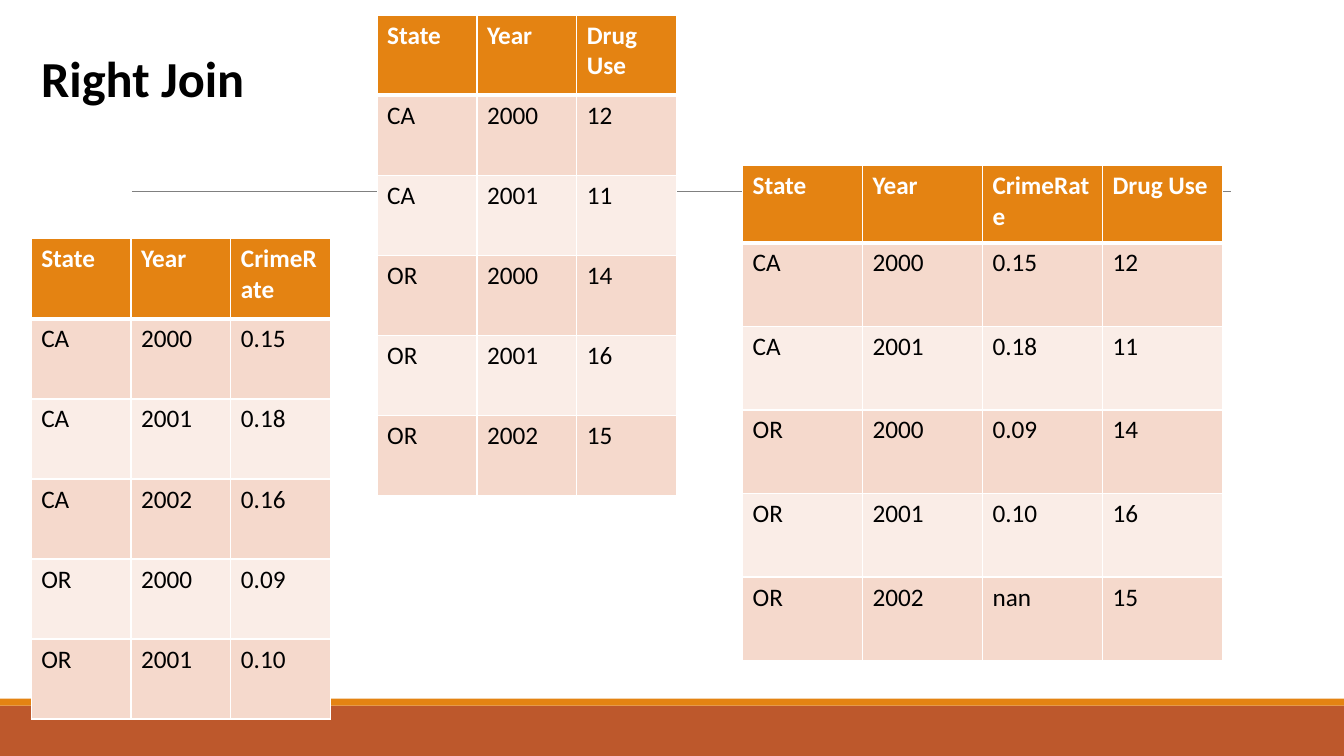
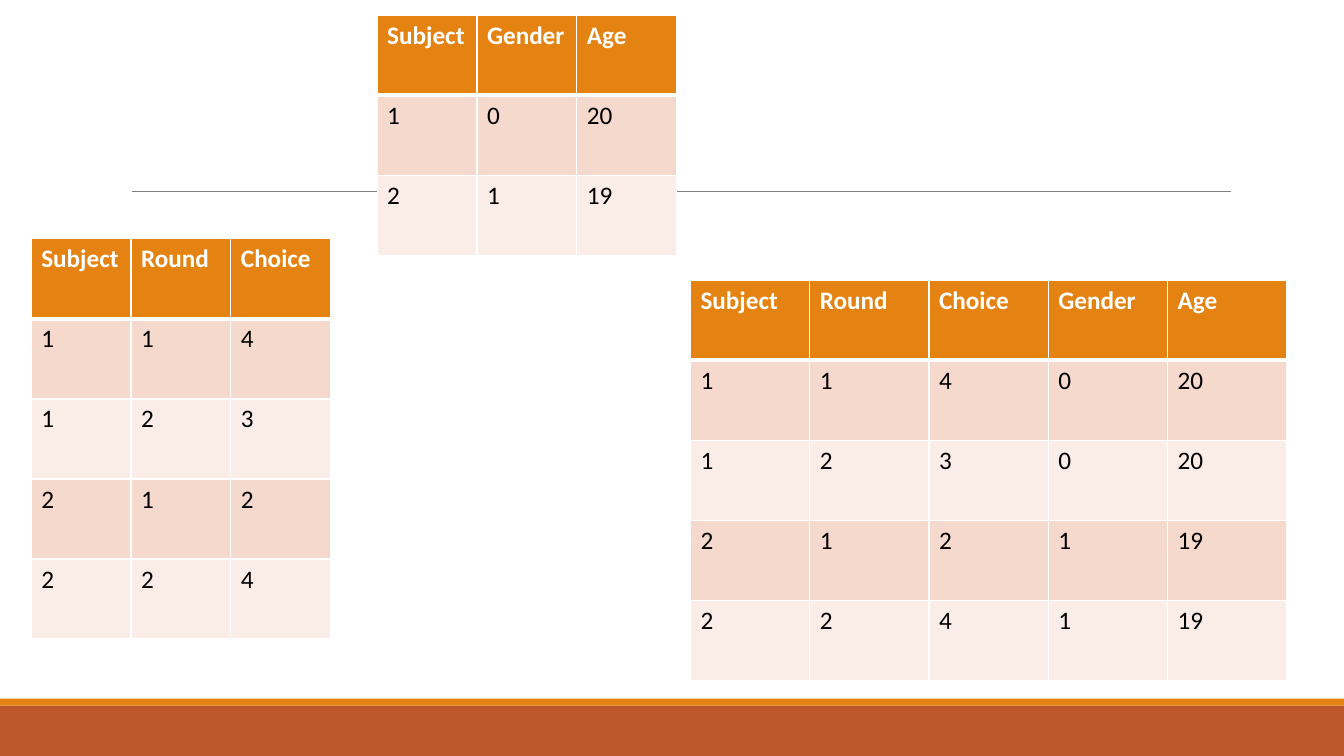
from lxml.etree import SubElement
from pptx import Presentation
from pptx.dml.color import RGBColor
from pptx.enum.shapes import MSO_CONNECTOR, MSO_SHAPE
from pptx.oxml.ns import qn
from pptx.util import Pt

PAGE_WIDTH, PAGE_HEIGHT = 960, 540
FONT = "Calibri"
WHITE, BLACK, GRAY = "FFFFFF", "000000", "808080"
ORANGE, RUST = "E48312", "BD582C"
ROW_TINTS = ("F5D9CC", "FAEDE7")
COLUMN_WIDTH, ROW_HEIGHT = 71.3, 57.2

CRIME = [
    ("State", "Year", "CrimeRate"),
    ("CA", "2000", "0.15"),
    ("CA", "2001", "0.18"),
    ("CA", "2002", "0.16"),
    ("OR", "2000", "0.09"),
    ("OR", "2001", "0.10"),
]
DRUGS = [
    ("State", "Year", "Drug Use"),
    ("CA", "2000", "12"),
    ("CA", "2001", "11"),
    ("OR", "2000", "14"),
    ("OR", "2001", "16"),
    ("OR", "2002", "15"),
]
CRIME_AND_DRUGS = [
    ("State", "Year", "CrimeRate", "Drug Use"),
    ("CA", "2000", "0.15", "12"),
    ("CA", "2001", "0.18", "11"),
    ("OR", "2000", "0.09", "14"),
    ("OR", "2001", "0.10", "16"),
    ("OR", "2002", "nan", "15"),
]
CHOICES = [
    ("Subject", "Round", "Choice"),
    ("1", "1", "4"),
    ("1", "2", "3"),
    ("2", "1", "2"),
    ("2", "2", "4"),
]
SUBJECTS = [
    ("Subject", "Gender", "Age"),
    ("1", "0", "20"),
    ("2", "1", "19"),
]
CHOICES_AND_SUBJECTS = [
    ("Subject", "Round", "Choice", "Gender", "Age"),
    ("1", "1", "4", "0", "20"),
    ("1", "2", "3", "0", "20"),
    ("2", "1", "2", "1", "19"),
    ("2", "2", "4", "1", "19"),
]


def color(value):
    return RGBColor.from_string(value)


def write(frame, text, size=18, ink=BLACK, bold=False):
    frame.word_wrap = True
    span = frame.paragraphs[0].add_run()
    span.text = text
    span.font.name = FONT
    span.font.size = Pt(size)
    span.font.bold = bold
    span.font.color.rgb = color(ink)


def add_band(page, top, height, fill):
    band = page.shapes.add_shape(
        MSO_SHAPE.RECTANGLE, 0, Pt(top), Pt(PAGE_WIDTH), Pt(height))
    band.shadow.inherit = False
    band.fill.solid()
    band.fill.fore_color.rgb = color(fill)
    band.line.fill.background()


def add_page(deck):
    """Add a blank page with the footer bands and the rule under the title."""
    page = deck.slides.add_slide(deck.slide_layouts[6])
    add_band(page, PAGE_HEIGHT - 36, 36, RUST)
    add_band(page, PAGE_HEIGHT - 41, 5, ORANGE)
    rule = page.shapes.add_connector(
        MSO_CONNECTOR.STRAIGHT, Pt(94.3), Pt(136.8), Pt(879), Pt(136.8))
    rule.line.color.rgb = color(GRAY)
    rule.line.width = Pt(0.5)
    SubElement(rule._element.spPr, qn("a:effectLst"))
    return page


def add_title(page, text):
    box = page.shapes.add_textbox(Pt(22.3), Pt(30.2), Pt(234), Pt(51))
    write(box.text_frame, text, size=36, bold=True)


def set_borders(cell, top=1, bottom=1):
    properties = cell._tc.get_or_add_tcPr()
    widths = {"a:lnL": 1, "a:lnR": 1, "a:lnT": top, "a:lnB": bottom}
    for tag, width in widths.items():
        line = SubElement(properties, qn(tag), w=str(Pt(width)))
        fill = SubElement(line, qn("a:solidFill"))
        SubElement(fill, qn("a:srgbClr"), val=WHITE)


def add_data_table(page, rows, left, top, column_width=COLUMN_WIDTH,
                   header_height=ROW_HEIGHT, row_height=ROW_HEIGHT):
    heights = [header_height] + [row_height] * (len(rows) - 1)
    table = page.shapes.add_table(
        len(rows), len(rows[0]), Pt(left), Pt(top),
        Pt(column_width * len(rows[0])), Pt(sum(heights))).table
    table.horz_banding = False
    for column in table.columns:
        column.width = Pt(column_width)
    for index, (values, height) in enumerate(zip(rows, heights)):
        table.rows[index].height = Pt(height)
        header = index == 0
        for cell, value in zip(table.rows[index].cells, values):
            set_borders(cell, top=3 if index == 1 else 1, bottom=3 if header else 1)
            cell.fill.solid()
            cell.fill.fore_color.rgb = color(
                ORANGE if header else ROW_TINTS[(index - 1) % 2])
            write(cell.text_frame, value, ink=WHITE if header else BLACK, bold=header)


def add_join_page(deck, left_rows, right_rows, joined_rows, title=None, **joined_box):
    """Show two source tables and, at joined_box, the table they make."""
    page = add_page(deck)
    add_data_table(page, left_rows, 22.3, 170.6)
    add_data_table(page, right_rows, 269.4, 10.8)
    add_data_table(page, joined_rows, **joined_box)
    if title:
        add_title(page, title)


def main():
    deck = Presentation()
    deck.slide_width, deck.slide_height = Pt(PAGE_WIDTH), Pt(PAGE_HEIGHT)
    add_join_page(deck, CRIME, DRUGS, CRIME_AND_DRUGS, title="Right Join",
                  left=530.4, top=118.2, column_width=85.7,
                  header_height=55.2, row_height=59.7)
    add_join_page(deck, CHOICES, SUBJECTS, CHOICES_AND_SUBJECTS,
                  left=493.2, top=200.2, column_width=85.2)
    deck.save("out.pptx")


if __name__ == "__main__":
    main()
